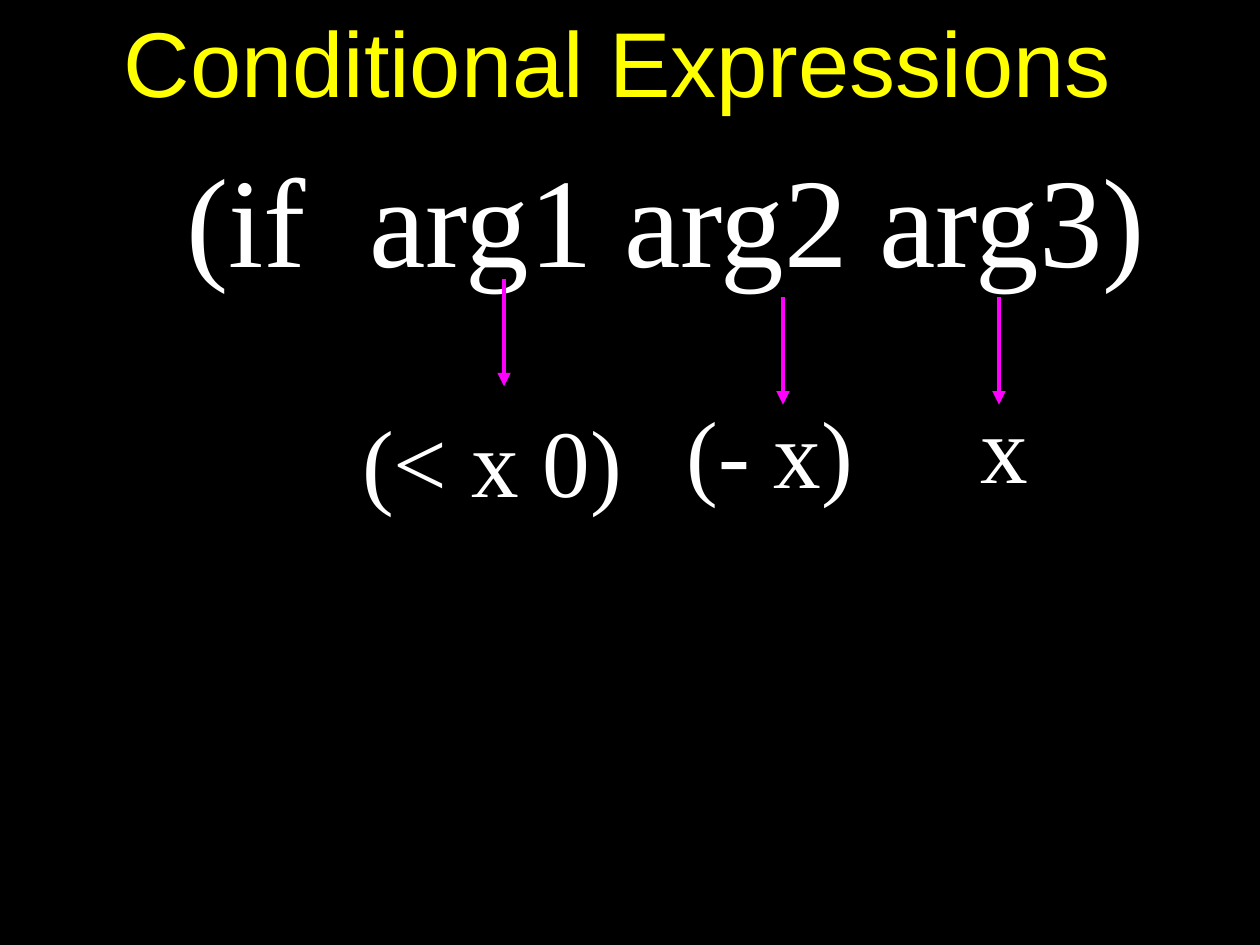
from lxml import etree
from pptx import Presentation
from pptx.dml.color import RGBColor
from pptx.enum.shapes import MSO_CONNECTOR
from pptx.enum.text import MSO_ANCHOR, MSO_AUTO_SIZE, PP_ALIGN
from pptx.oxml.ns import qn
from pptx.util import Cm, Inches, Pt

TOP = MSO_ANCHOR.TOP
FIXED = MSO_AUTO_SIZE.NONE
LEFT, CENTER = PP_ALIGN.LEFT, PP_ALIGN.CENTER
STRAIGHT = MSO_CONNECTOR.STRAIGHT

BLACK, WHITE, YELLOW, PINK = "000000", "FFFFFF", "FFFF00", "FF00FF"
SANS, SERIF = "Arial", "Times New Roman"

DROP = 0.94  # arrow length
# arrow x, arrow top, text, text box
ARGS = [
    (4.41, 2.44, "(< x 0)", (3.07, 3.47, 2.68, 1.02)),
    (6.85, 2.6, "(- x)", (5.91, 3.39, 1.86, 1.02)),
    (8.74, 2.6, " x", (8.27, 3.35, 1.03, 1.02)),
]


def color(code):
    return RGBColor.from_string(code)


def write(shape, text, size, font, code, align=LEFT):
    frame = shape.text_frame
    frame.word_wrap = True
    frame.auto_size = FIXED
    frame.vertical_anchor = TOP
    frame.margin_left = Inches(0.1)
    frame.margin_right = 0 if align == LEFT else Inches(0.1)
    frame.margin_top = frame.margin_bottom = Inches(0.05)
    frame.text = text
    para = frame.paragraphs[0]
    para.alignment = align
    para.line_spacing = 1.0
    para.space_before = Pt(0)
    style = para.runs[0].font
    style.name, style.size = font, Pt(size)
    style.color.rgb = color(code)


def add_title(slide, box, text):
    title = slide.shapes.title
    title.left, title.top, title.width, title.height = map(Inches, box)
    write(title, text, 58, SANS, YELLOW, CENTER)


def add_code(slide, box, text, size):
    area = slide.shapes.add_textbox(*map(Inches, box))
    write(area, text, size, SERIF, WHITE)


def add_arrow(slide, x, top):
    ends = map(Inches, (x, top, x, top + DROP))
    arrow = slide.shapes.add_connector(STRAIGHT, *ends)
    arrow.line.color.rgb = color(PINK)
    arrow.line.width = Pt(2.83)
    tail = etree.SubElement(arrow.line._get_or_add_ln(), qn("a:tailEnd"))
    tail.set("type", "triangle")
    etree.SubElement(arrow._element.spPr, qn("a:effectLst"))


def main():
    deck = Presentation()
    deck.slide_width, deck.slide_height = Cm(28), Cm(21)
    slide = deck.slides.add_slide(deck.slide_layouts[5])
    fill = slide.background.fill
    fill.solid()
    fill.fore_color.rgb = color(BLACK)

    add_title(slide, (0.98, 0, 8.84, 1.07), "Conditional Expressions")
    add_code(slide, (1.53, 1.18, 8.6, 1.33), "(if  arg1 arg2 arg3)", 80)
    for x, top, text, box in ARGS:
        add_arrow(slide, x, top)
        add_code(slide, box, text, 60)
    deck.save("out.pptx")


if __name__ == "__main__":
    main()
